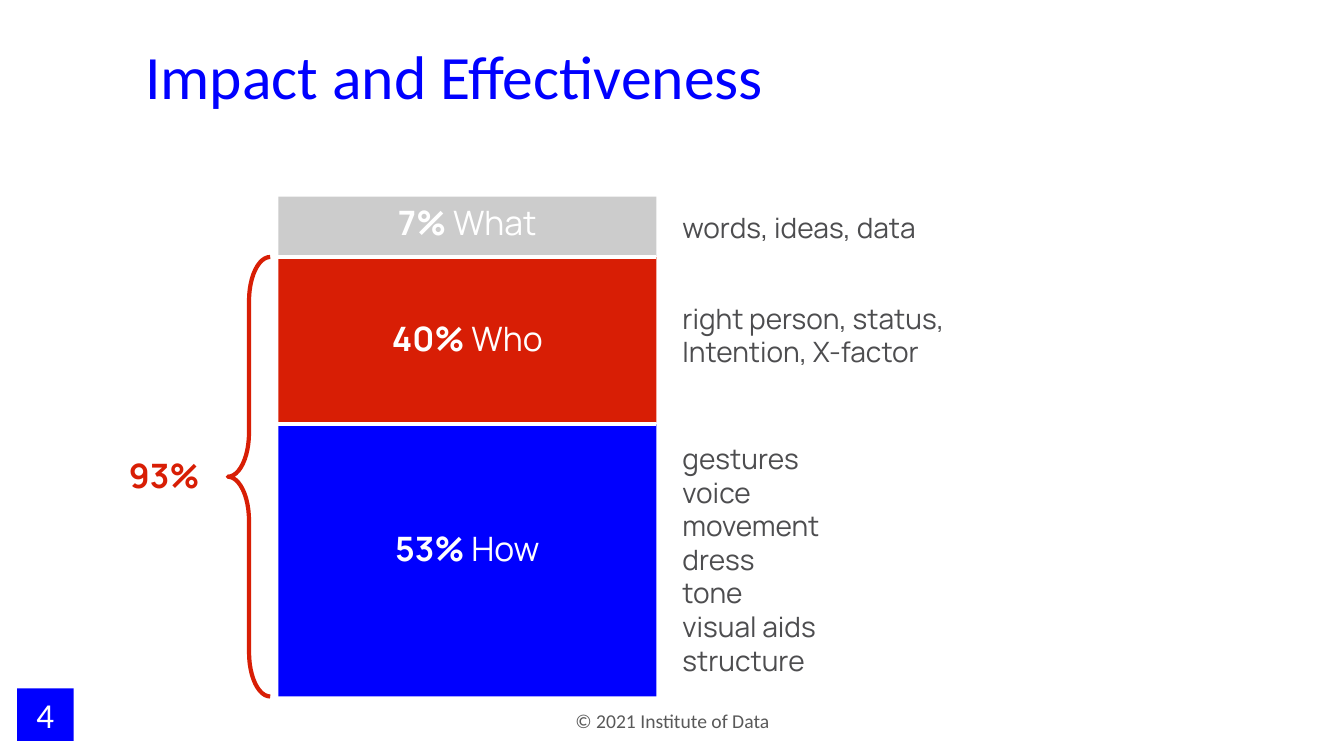
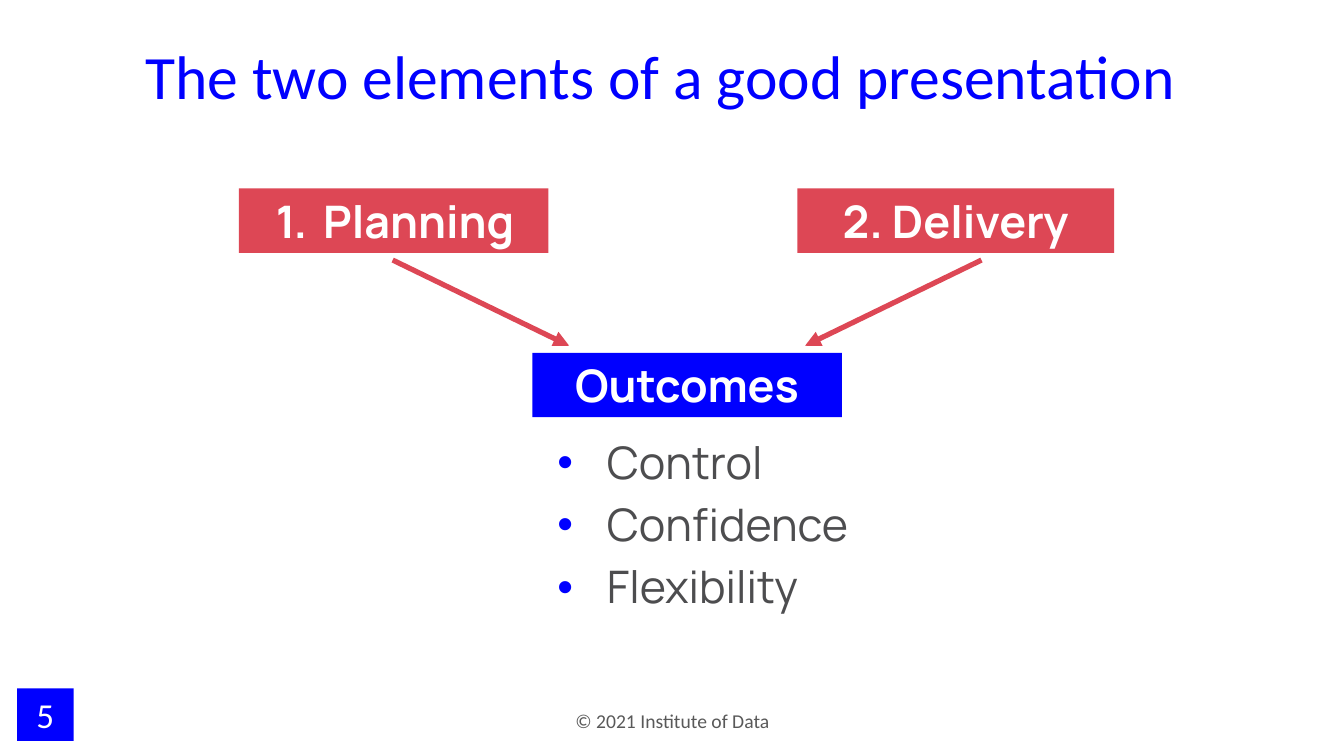
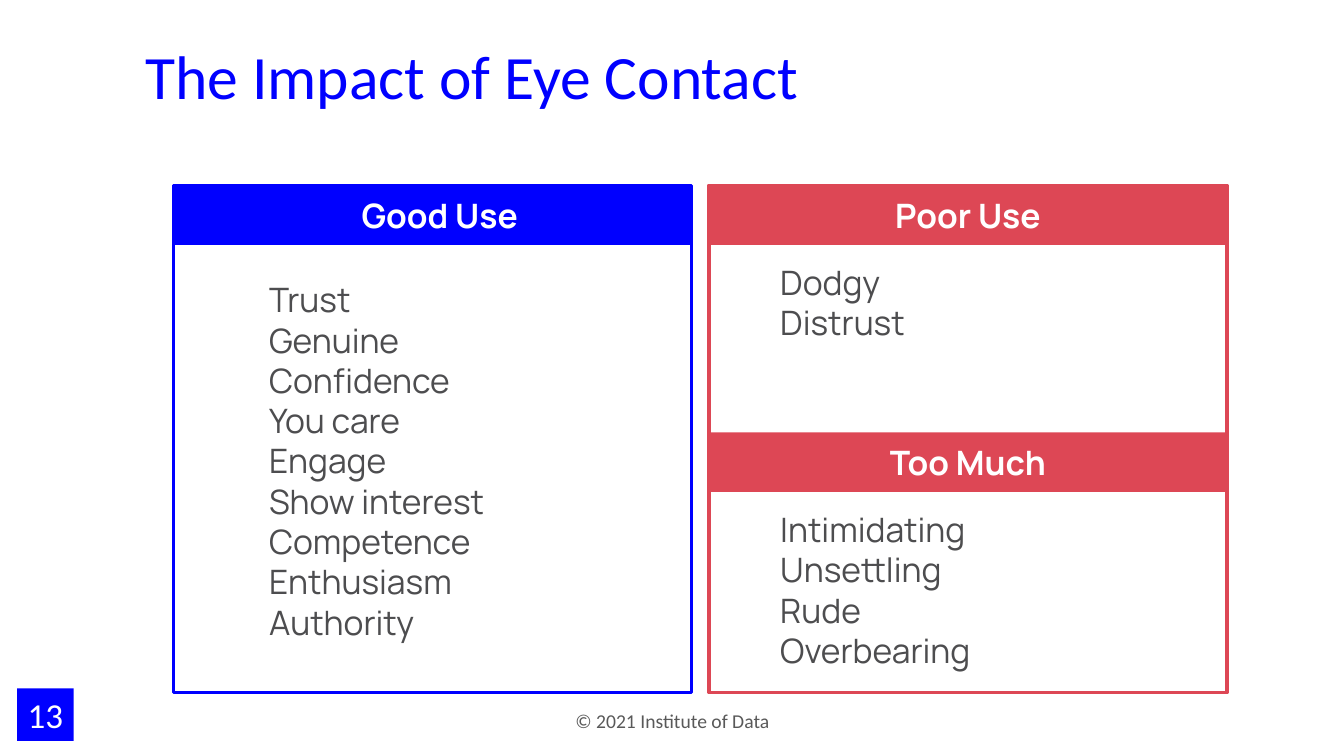
import dataclasses

import lxml.etree
import pptx
import pptx.dml.color
import pptx.enum.shapes
import pptx.enum.text
import pptx.oxml.ns
import pptx.util

Inches = pptx.util.Inches
Shape = pptx.enum.shapes.MSO_SHAPE
Align = pptx.enum.text.PP_ALIGN
Anchor = pptx.enum.text.MSO_ANCHOR


@dataclasses.dataclass(frozen=True)
class Theme:
    blue: str = "0000FF"
    red: str = "D81E05"
    rose: str = "DD4755"
    silver: str = "CCCCCC"
    white: str = "FFFFFF"
    ink: str = "4D4D4F"
    footer_ink: str = "595959"
    heading_font: str = "Calibri"
    body_font: str = "Manrope"
    title_size: int = 44
    element_size: int = 32
    number_size: int = 25
    label_size: int = 24
    detail_size: int = 20
    footer_size: int = 14


THEME = Theme()


def rgb(colour):
    return pptx.dml.color.RGBColor.from_string(colour)


def style(paragraph, size, colour, bold=False, font=THEME.body_font, align=Align.LEFT):
    paragraph.alignment = align
    paragraph.font.name = font
    paragraph.font.size = pptx.util.Pt(size)
    paragraph.font.bold = bold
    paragraph.font.color.rgb = rgb(colour)


def set_frame(shape, anchor, side=0.1, top=0.05):
    frame = shape.text_frame
    frame.word_wrap = True
    frame.vertical_anchor = anchor
    frame.margin_left = frame.margin_right = Inches(side)
    frame.margin_top, frame.margin_bottom = Inches(top), Inches(0.05)
    return frame


def add_text(slide, box, lines, size, colour, anchor=Anchor.TOP, side=0.1, **look):
    """Place a text box with one paragraph per line and return its paragraphs."""
    shape = slide.shapes.add_textbox(*map(Inches, box))
    frame = set_frame(shape, anchor, side)
    for index, line in enumerate(lines):
        paragraph = frame.add_paragraph() if index else frame.paragraphs[0]
        paragraph.text = line
        style(paragraph, size, colour, **look)
    return frame.paragraphs


def add_block(slide, box, fill=None, line=None, width=0, kind=Shape.RECTANGLE):
    shape = slide.shapes.add_shape(kind, *map(Inches, box))
    shape.shadow.inherit = False
    if fill:
        shape.fill.solid()
        shape.fill.fore_color.rgb = rgb(fill)
    else:
        shape.fill.background()
    if line:
        shape.line.color.rgb = rgb(line)
        shape.line.width = pptx.util.Pt(width)
    else:
        shape.line.fill.background()
    return shape


def add_child(parent, tag, **attributes):
    return lxml.etree.SubElement(parent, pptx.oxml.ns.qn(tag), **attributes)


def add_line(slide, start, end, colour, width, arrow=False):
    connector = slide.shapes.add_connector(
        pptx.enum.shapes.MSO_CONNECTOR.STRAIGHT, *map(Inches, start + end))
    connector.line.color.rgb = rgb(colour)
    connector.line.width = pptx.util.Pt(width)
    if arrow:
        add_child(connector.line._get_or_add_ln(), "a:tailEnd", type="triangle")
    add_child(connector._element.spPr, "a:effectLst")


def add_bullet(paragraph, colour, left, hanging, character=None):
    """Give the paragraph a bullet character, or a number when there is none."""
    properties = paragraph._p.get_or_add_pPr()
    properties.set("marL", str(Inches(left)))
    properties.set("indent", str(-Inches(hanging)))
    add_child(add_child(properties, "a:buClr"), "a:srgbClr", val=colour)
    if character:
        add_child(properties, "a:buFont", typeface="Arial")
        add_child(properties, "a:buChar", char=character)
    else:
        add_child(properties, "a:buFont", typeface=THEME.body_font)
        add_child(properties, "a:buAutoNum", type="arabicPeriod")


def add_slide(presentation, title, number):
    """Start a slide with the shared footer, number box and title."""
    slide = presentation.slides.add_slide(presentation.slide_layouts[6])
    add_text(slide, (4.42, 6.95, 4.5, 0.4), ["© 2021 Institute of Data"],
             THEME.footer_size, THEME.footer_ink, Anchor.MIDDLE,
             font=THEME.heading_font, align=Align.CENTER)

    number_box = add_block(slide, (0.17, 6.83, 0.56, 0.52), THEME.blue)
    paragraph = set_frame(number_box, Anchor.MIDDLE, side=0.05).paragraphs[0]
    paragraph.text = str(number)
    style(paragraph, THEME.number_size, THEME.white, font=THEME.heading_font, align=Align.CENTER)

    heading = add_text(slide, (1.39, 0.41, 11.71, 1.11), [title], THEME.title_size,
                       THEME.blue, side=0.05, font=THEME.heading_font)
    heading[0].line_spacing = 0.9
    return slide


# Impact slide: stacked bands with explanations and a brace

def add_band(slide, box, colour, share, name, label_top):
    band = add_block(slide, box, colour)
    paragraph = set_frame(band, Anchor.TOP, top=label_top).paragraphs[0]
    style(paragraph, THEME.label_size, THEME.white, align=Align.CENTER)
    share_run, name_run = paragraph.add_run(), paragraph.add_run()
    share_run.text, name_run.text = share + " ", name
    share_run.font.bold = True


def add_impact_stack(slide, box):
    left, top, width, height = box
    # top and height of the band, colour, share, name, label inset,
    # top and height of the details, details
    bands = [
        (0, 0.59, THEME.silver, "7%", "What", 0.05, 0.09, 0.43, ["words, ideas, data"]),
        (0.6, 1.64, THEME.red, "40%", "Who", 0.6, 0.99, 0.77,
         ["right person, status, Intention, X-factor"]),
        (2.26, 2.7, THEME.blue, "53%", "How", 1.03, 2.38, 2.46,
         ["gestures", "voice", "movement", "dress", "tone", "visual aids", "structure"]),
    ]
    for offset, depth, colour, share, name, inset, detail_top, detail_height, details in bands:
        add_band(slide, (left, top + offset, width, depth), colour, share, name, inset)
        add_text(slide, (left + width + 0.16, top + detail_top, 3.31, detail_height),
                 details, THEME.detail_size, THEME.ink)

    # White dividers between the bands
    for offset, *_ in bands[1:]:
        add_line(slide, (left, top + offset), (left + width, top + offset), THEME.white, 3)

    # Brace over the two lower bands
    brace_top = bands[1][0]
    brace = add_block(slide, (left - 0.5, top + brace_top, 0.42, height - brace_top),
                      line=THEME.red, width=3, kind=Shape.LEFT_BRACE)
    brace.adjustments[0] = 1.04
    add_text(slide, (left - 1.58, top + 2.51, 0.99, 0.5), ["93%"],
             THEME.label_size, THEME.red, bold=True)


# Elements slide: two boxes leading to outcomes

def add_element(slide, box, text, colour, numbered=False):
    paragraph = set_frame(add_block(slide, box, colour), Anchor.MIDDLE).paragraphs[0]
    paragraph.text = text
    if numbered:
        add_bullet(paragraph, THEME.white, 0.5, 0.47)
    style(paragraph, THEME.element_size, THEME.white, bold=True, align=Align.CENTER)


def add_elements_flow(slide, box):
    left, top, width, _ = box
    element_width, element_height, outcome_offset, gap = 3.07, 0.64, 1.63, 0.07
    delivery_width = 3.14
    outcome_left, outcome_top = left + 2.91, top + outcome_offset
    centre = outcome_left + element_width / 2

    add_element(slide, (left, top, element_width, element_height),
                "Planning", THEME.rose, numbered=True)
    add_element(slide, (left + width - delivery_width, top, delivery_width, element_height),
                "2. Delivery", THEME.rose)
    add_element(slide, (outcome_left, outcome_top, element_width, element_height),
                "Outcomes", THEME.blue)

    # Mirrored arrows into the outcomes box
    for side in (-1, 1):
        add_line(slide, (centre + side * 2.92, top + element_height + gap),
                 (centre + side * 1.17, outcome_top - gap), THEME.rose, 3.75, arrow=True)

    # Outcomes list
    outcomes = add_text(slide, (outcome_left + 0.15, outcome_top + 0.82, 3.51, 2.37),
                        ["Control", "Confidence", "Flexibility"],
                        THEME.element_size, THEME.ink)
    for index, paragraph in enumerate(outcomes):
        add_bullet(paragraph, THEME.blue, 0.49, 0.49, "•")
        style(paragraph, THEME.element_size, THEME.ink)
        paragraph.line_spacing = 0.9
        if index:
            paragraph.space_before = pptx.util.Pt(10)


# Eye contact slide: framed panels with headed lists

def add_panel(slide, box, colour, sections, list_indent, list_top, heading_shift=0):
    """Sections are (offset from the panel top, heading, items)."""
    left, top, width, _ = box
    add_block(slide, box, line=colour, width=2.5)
    for offset, heading, items in sections:
        band = add_block(slide, (left, top + offset, width, 0.59), colour)
        frame = set_frame(band, Anchor.MIDDLE)
        frame.margin_left = Inches(0.1 + heading_shift)
        frame.paragraphs[0].text = heading
        style(frame.paragraphs[0], THEME.label_size, THEME.white, bold=True, align=Align.CENTER)
        add_text(slide, (left + list_indent, top + offset + list_top, 2.93,
                         0.1 + 0.4 * len(items)), items, THEME.label_size, THEME.ink)


def add_eye_contact_panels(slide, box):
    left, top, width, height = box
    panel_width = 5.14
    add_panel(slide, (left, top, panel_width, height), THEME.blue,
              [(0, "Good Use", ["Trust", "Genuine", "Confidence", "You care", "Engage",
                                "Show interest", "Competence", "Enthusiasm", "Authority"])],
              list_indent=0.85, list_top=0.88, heading_shift=0.14)
    add_panel(slide, (left + width - panel_width, top, panel_width, height), THEME.rose,
              [(0, "Poor Use", ["Dodgy", "Distrust"]),
               (2.45, "Too Much", ["Intimidating", "Unsettling", "Rude", "Overbearing"])],
              list_indent=0.61, list_top=0.71)


def main():
    presentation = pptx.Presentation()
    presentation.slide_width = Inches(13.33)
    presentation.slide_height = Inches(7.5)

    slides = [
        ("Impact and Effectiveness", 4, add_impact_stack, (2.76, 1.95, 3.75, 4.96)),
        ("The two elements of a good presentation", 5, add_elements_flow,
         (2.37, 1.87, 8.68, 4.82)),
        ("The Impact of Eye Contact", 13, add_eye_contact_panels, (1.72, 1.84, 10.45, 5.03)),
    ]
    for title, number, add_content, box in slides:
        add_content(add_slide(presentation, title, number), box)

    presentation.save("out.pptx")


if __name__ == "__main__":
    main()
